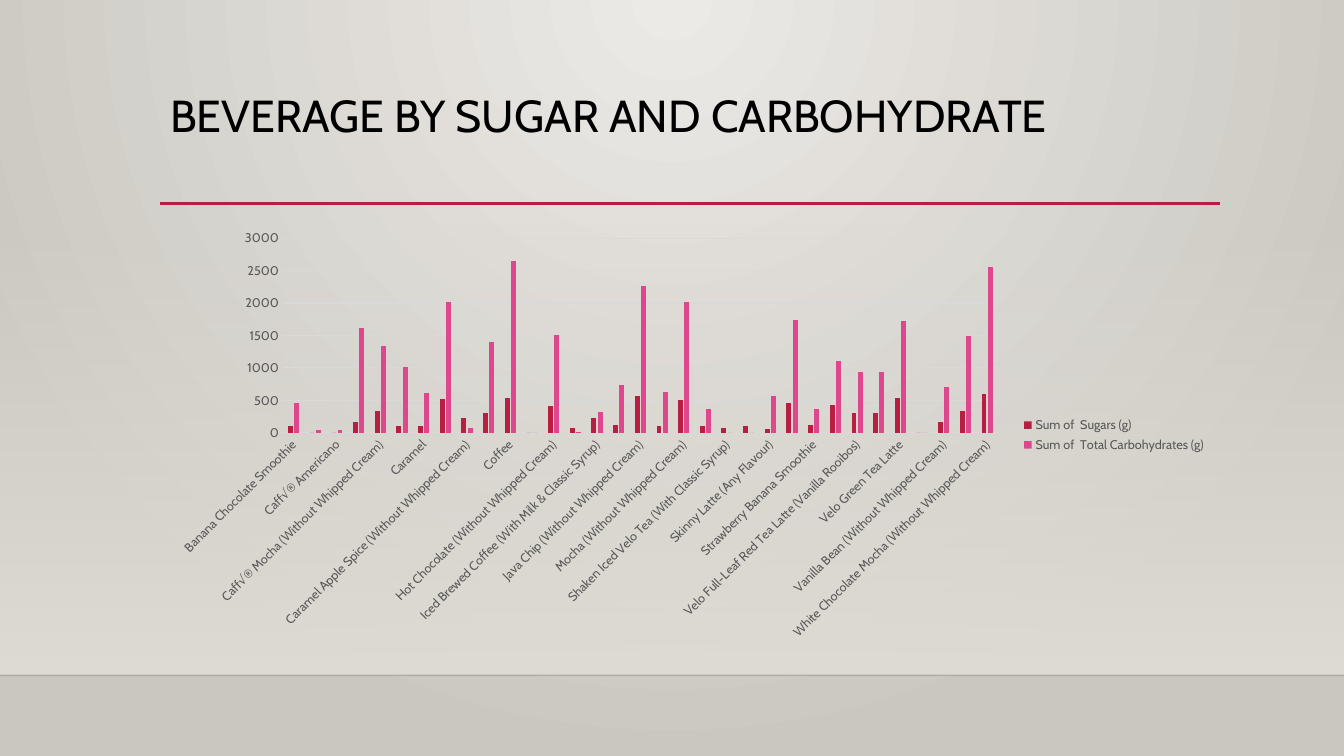
from typing import NamedTuple

from lxml.etree import SubElement
from pptx import Presentation
from pptx.chart.chart import Chart
from pptx.chart.data import CategoryChartData
from pptx.dml.color import RGBColor
from pptx.enum.chart import XL_CHART_TYPE, XL_LEGEND_POSITION, XL_TICK_MARK
from pptx.enum.shapes import MSO_CONNECTOR, MSO_SHAPE
from pptx.enum.text import MSO_ANCHOR
from pptx.oxml.ns import qn
from pptx.slide import Slide
from pptx.util import Inches, Pt

FONT = "Cabin"
BLACK = RGBColor(0x00, 0x00, 0x00)
FLOOR_EDGE = RGBColor(0x00, 0x00, 0x01)
CRIMSON = RGBColor(0xB7, 0x1E, 0x42)
PINK = RGBColor(0xDE, 0x47, 0x8E)
LABEL_GRAY = RGBColor(0x59, 0x59, 0x59)
GRID_GRAY = RGBColor(0xD9, 0xD9, 0xD9)
WALL_LIGHT = RGBColor(0xEC, 0xEA, 0xE7)
WALL_DARK = RGBColor(0xCA, 0xC7, 0xC1)
HAZE = RGBColor(0xDF, 0xDB, 0xD5)


class Rule(NamedTuple):
    left: float
    right: float
    top: float
    color: RGBColor
    points: float
    opacity: int


class Stop(NamedTuple):
    position: int
    color: RGBColor
    opacity: int = 100


class Beverage(NamedTuple):
    name: str
    sugars: int
    carbohydrates: int


RULES = [
    Rule(0, 13.33, 6.7, FLOOR_EDGE, 1, 20),
    Rule(1.59, 12.1, 2.02, CRIMSON, 2.5, 100),
]

BEVERAGES = [
    Beverage("Banana Chocolate Smoothie", 100, 460),
    Beverage("Brewed Coffee", 0, 40),
    Beverage("Caff√® Americano", 0, 40),
    Beverage("Caff√® Latte", 160, 1620),
    Beverage("Caff√® Mocha (Without Whipped Cream)", 330, 1340),
    Beverage("Cappuccino", 100, 1020),
    Beverage("Caramel", 100, 610),
    Beverage("Caramel (Without Whipped Cream)", 520, 2010),
    Beverage("Caramel Apple Spice (Without Whipped Cream)", 230, 70),
    Beverage("Caramel Macchiato", 300, 1400),
    Beverage("Coffee", 540, 2650),
    Beverage("Espresso", 0, 0),
    Beverage("Hot Chocolate (Without Whipped Cream)", 420, 1500),
    Beverage("Iced Brewed Coffee (With Classic Syrup)", 70, 10),
    Beverage("Iced Brewed Coffee (With Milk & Classic Syrup)", 230, 320),
    Beverage("Java Chip", 120, 730),
    Beverage("Java Chip (Without Whipped Cream)", 560, 2260),
    Beverage("Mocha", 100, 630),
    Beverage("Mocha (Without Whipped Cream)", 510, 2010),
    Beverage("Orange Mango Banana Smoothie", 110, 360),
    Beverage("Shaken Iced Velo Tea (With Classic Syrup)", 70, 0),
    Beverage("Shaken Iced Velo Tea Lemonade (With Classic Syrup)", 110, 0),
    Beverage("Skinny Latte (Any Flavour)", 60, 560),
    Beverage("Strawberries & Cr√®me (Without Whipped Cream)", 460, 1740),
    Beverage("Strawberry Banana Smoothie", 120, 370),
    Beverage("Velo Chai Tea Latte", 430, 1100),
    Beverage("Velo Full-Leaf Red Tea Latte (Vanilla Rooibos)", 300, 930),
    Beverage("Velo Full-Leaf Tea Latte", 300, 930),
    Beverage("Velo Green Tea Latte", 540, 1720),
    Beverage("Velo Tea", 0, 0),
    Beverage("Vanilla Bean (Without Whipped Cream)", 170, 710),
    Beverage("Vanilla Latte (Or Other Flavoured Latte)", 340, 1490),
    Beverage("White Chocolate Mocha (Without Whipped Cream)", 590, 2560),
]


def add_opacity(color_element, percent: int) -> None:
    if percent < 100:
        SubElement(color_element, qn("a:alpha"), val=str(percent * 1000))


def set_gradient(gradient, stops: list[Stop], radial: bool) -> None:
    """Refill an a:gradFill element, radial from the top centre or running downwards."""
    for child in list(gradient):
        gradient.remove(child)
    stop_list = SubElement(gradient, qn("a:gsLst"))
    for stop in stops:
        entry = SubElement(stop_list, qn("a:gs"), pos=str(stop.position * 1000))
        color = SubElement(entry, qn("a:srgbClr"), val=str(stop.color))
        add_opacity(color, stop.opacity)
    if radial:
        shade = SubElement(gradient, qn("a:path"), {"path": "circle"})
        SubElement(shade, qn("a:fillToRect"), l="43000", r="43000", b="100000")
    else:
        SubElement(gradient, qn("a:lin"), ang="5400000", scaled="0")


def draw_backdrop(page: Slide) -> None:
    page.background.fill.gradient()
    wall = page.element.find(".//" + qn("a:gradFill"))
    set_gradient(wall, [Stop(0, WALL_LIGHT), Stop(100, WALL_DARK)], radial=True)

    haze = page.shapes.add_shape(
        MSO_SHAPE.RECTANGLE, 0, Inches(2.21), Inches(13.33), Inches(4.49))
    haze.shadow.inherit = False
    haze.line.fill.background()
    haze.fill.gradient()
    veil = haze.element.spPr.find(qn("a:gradFill"))
    set_gradient(veil, [Stop(0, HAZE, 0), Stop(100, HAZE)], radial=False)


def draw_rule(page: Slide, rule: Rule) -> None:
    line = page.shapes.add_connector(
        MSO_CONNECTOR.STRAIGHT, Inches(rule.left), Inches(rule.top),
        Inches(rule.right), Inches(rule.top))
    line.line.color.rgb = rule.color
    line.line.width = Pt(rule.points)
    properties = line.element.spPr
    add_opacity(properties.find(".//" + qn("a:srgbClr")), rule.opacity)
    SubElement(properties, qn("a:effectLst"))


def style_font(font, size: float, color: RGBColor) -> None:
    font.name = FONT
    font.size = Pt(size)
    font.color.rgb = color


def draw_title(page: Slide) -> None:
    box = page.shapes.add_textbox(Inches(1.59), Inches(0.88), Inches(10.5), Inches(1.15))
    box.text_frame.word_wrap = True
    box.text_frame.vertical_anchor = MSO_ANCHOR.TOP
    para = box.text_frame.paragraphs[0]
    para.line_spacing = 0.9
    span = para.add_run()
    span.text = "BEVERAGE BY SUGAR AND CARBOHYDRATE"
    style_font(span.font, 32, BLACK)


def style_axes(chart: Chart) -> None:
    for axis in (chart.category_axis, chart.value_axis):
        axis.major_tick_mark = XL_TICK_MARK.NONE
        axis.minor_tick_mark = XL_TICK_MARK.NONE
        style_font(axis.tick_labels.font, 9, LABEL_GRAY)
        # This value lets the renderer choose the label angle.
        axis._element.find(".//" + qn("a:bodyPr")).set("rot", "-60000000")
    chart.value_axis.format.line.fill.background()
    for line in (chart.category_axis.format.line,
                 chart.value_axis.major_gridlines.format.line):
        line.color.rgb = GRID_GRAY
        line.width = Pt(0.75)


def draw_chart(page: Slide) -> None:
    data = CategoryChartData()
    data.categories = [beverage.name for beverage in BEVERAGES]
    data.add_series("Sum of  Sugars (g)", [beverage.sugars for beverage in BEVERAGES])
    data.add_series("Sum of  Total Carbohydrates (g) ",
                    [beverage.carbohydrates for beverage in BEVERAGES])
    chart = page.shapes.add_chart(
        XL_CHART_TYPE.COLUMN_CLUSTERED, Inches(1.59), Inches(2.2),
        Inches(10.5), Inches(4.23), data).chart
    style_font(chart.font, 10, BLACK)
    chart.has_title = False
    chart.has_legend = True
    chart.legend.position = XL_LEGEND_POSITION.RIGHT
    chart.legend.include_in_layout = False
    style_font(chart.legend.font, 9, LABEL_GRAY)
    style_axes(chart)
    plot = chart.plots[0]
    plot.vary_by_categories = False
    plot.gap_width = 219
    plot.overlap = -27
    for series, color in zip(plot.series, (CRIMSON, PINK)):
        series.format.fill.solid()
        series.format.fill.fore_color.rgb = color


def main() -> None:
    deck = Presentation()
    deck.slide_width, deck.slide_height = Inches(13.33), Inches(7.5)
    page = deck.slides.add_slide(deck.slide_layouts[6])
    draw_backdrop(page)
    for rule in RULES:
        draw_rule(page, rule)
    draw_title(page)
    draw_chart(page)
    deck.save("out.pptx")


if __name__ == "__main__":
    main()
